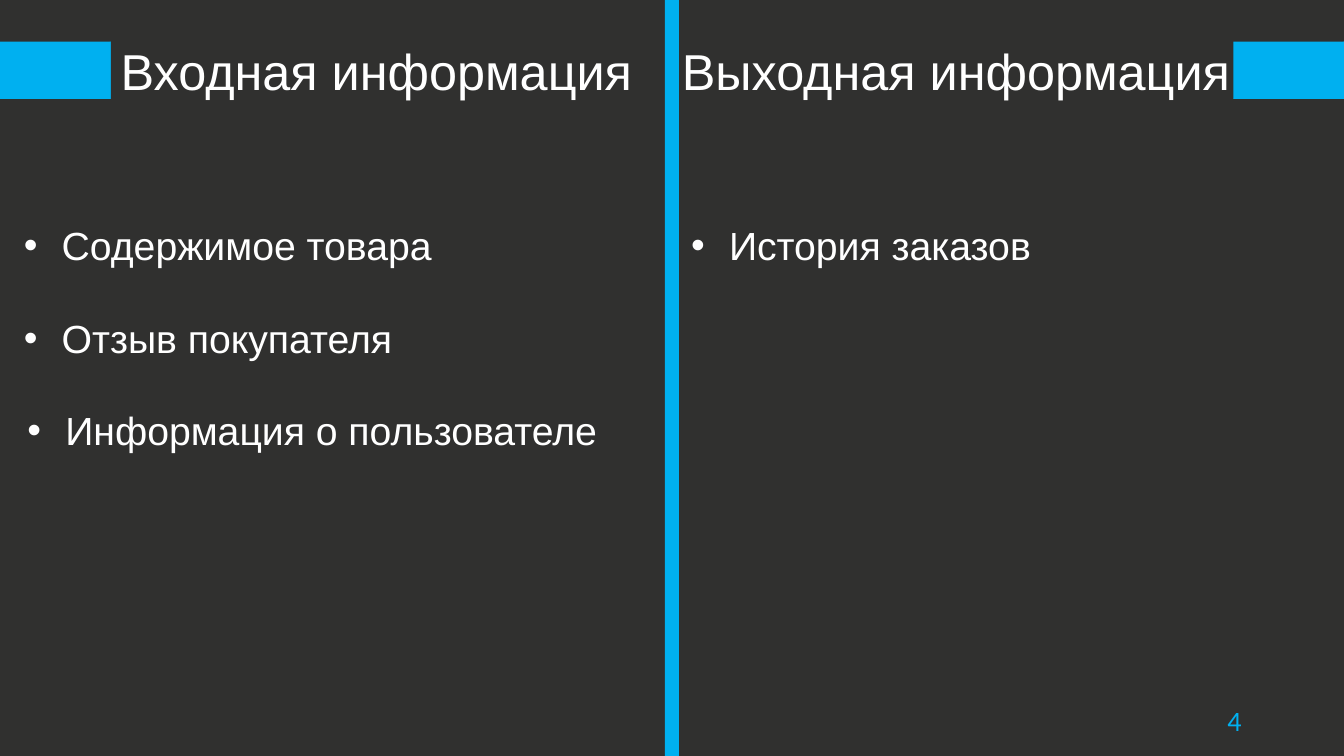
import pptx
import pptx.util
import pptx.dml.color
import pptx.enum.shapes
import pptx.enum.text
import lxml.etree

Pt = pptx.util.Pt
Align = pptx.enum.text.PP_ALIGN
Anchor = pptx.enum.text.MSO_ANCHOR
Shape = pptx.enum.shapes.MSO_SHAPE

CHARCOAL = pptx.dml.color.RGBColor(0x30, 0x30, 0x2F)
SKY = pptx.dml.color.RGBColor(0x00, 0xB0, 0xF0)
WHITE = pptx.dml.color.RGBColor(0xFF, 0xFF, 0xFF)

WIDTH, HEIGHT = 960, 540
TAB_WIDTH, TAB_HEIGHT, TAB_TOP = 79, 41, 29.7
DIVIDER_WIDTH = 10
HEADING_TOP, HEADING_HEIGHT = 25.2, 51
LIST_TOP, ROW_PITCH, ROW_HEIGHT = 154.8, 66, 41
BULLET_INDENT = 27


def place(box, left, top, width, height):
    box.left, box.top = Pt(left), Pt(top)
    box.width, box.height = Pt(width), Pt(height)


def write(box, text, size, color=WHITE, font="Arial", align=Align.LEFT,
          anchor=Anchor.TOP, bullet=False):
    frame = box.text_frame
    frame.word_wrap = True
    frame.auto_size = pptx.enum.text.MSO_AUTO_SIZE.NONE
    frame.vertical_anchor = anchor
    para = frame.paragraphs[0]
    para.alignment = align
    if bullet:
        props = para._p.get_or_add_pPr()
        props.set("marL", str(Pt(BULLET_INDENT)))
        props.set("indent", str(-Pt(BULLET_INDENT)))
        for tag, name, value in (("buFont", "typeface", "Arial"), ("buChar", "char", "•")):
            mark = lxml.etree.SubElement(props, pptx.oxml.ns.qn("a:" + tag))
            mark.set(name, value)
    span = para.add_run()
    span.text = text
    span.font.size = Pt(size)
    span.font.name = font
    span.font.color.rgb = color


def add_block(shapes, kind, left, top, width, height):
    block = shapes.add_shape(kind, Pt(left), Pt(top), Pt(width), Pt(height))
    block.shadow.inherit = False
    block.fill.solid()
    block.fill.fore_color.rgb = SKY
    block.line.fill.background()
    return block


def add_tab(page, left):
    tab = page.shapes.add_group_shape()
    for kind in (Shape.RECTANGLE, Shape.RIGHT_TRIANGLE):
        block = add_block(tab.shapes, kind, left, TAB_TOP, TAB_WIDTH, TAB_HEIGHT)
    block._element.spPr.xfrm.set("flipH", "1")


def add_text(page, left, top, width, height, text, size, **style):
    box = page.shapes.add_textbox(Pt(left), Pt(top), Pt(width), Pt(height))
    write(box, text, size, **style)


def add_list(page, left, items):
    for row, (text, width, align) in enumerate(items):
        add_text(page, left, LIST_TOP + row * ROW_PITCH, width, ROW_HEIGHT,
                 text, 28, align=align, bullet=True)


def add_input_column(page, left):
    add_tab(page, left)
    title = page.shapes.title
    place(title, left + TAB_WIDTH, HEADING_TOP, 384, HEADING_HEIGHT)
    write(title, "Входная информация", 36)
    add_list(page, left + 10, [
        ("Содержимое товара", 310, Align.LEFT),
        ("Отзыв покупателя", 281, Align.LEFT),
        ("Информация о пользователе", 426, Align.CENTER),
    ])


def add_output_column(page, left):
    add_tab(page, WIDTH - TAB_WIDTH)
    add_text(page, left, HEADING_TOP, 410, HEADING_HEIGHT, "Выходная информация", 36)
    add_list(page, left + 5, [("История заказов", 260, Align.CENTER)])


def build_page(deck):
    page = deck.slides.add_slide(deck.slide_layouts[5])
    page.background.fill.solid()
    page.background.fill.fore_color.rgb = CHARCOAL
    add_input_column(page, 0)
    add_block(page.shapes, Shape.RECTANGLE, (WIDTH - DIVIDER_WIDTH) / 2, 0,
              DIVIDER_WIDTH, HEIGHT)
    add_output_column(page, WIDTH / 2)
    add_text(page, 678, 500.4, 216, 28.8, "4", 20, color=SKY, font="Calibri",
             align=Align.RIGHT, anchor=Anchor.MIDDLE)


def main():
    deck = pptx.Presentation()
    deck.slide_width, deck.slide_height = Pt(WIDTH), Pt(HEIGHT)
    build_page(deck)
    deck.save("out.pptx")


if __name__ == "__main__":
    main()
